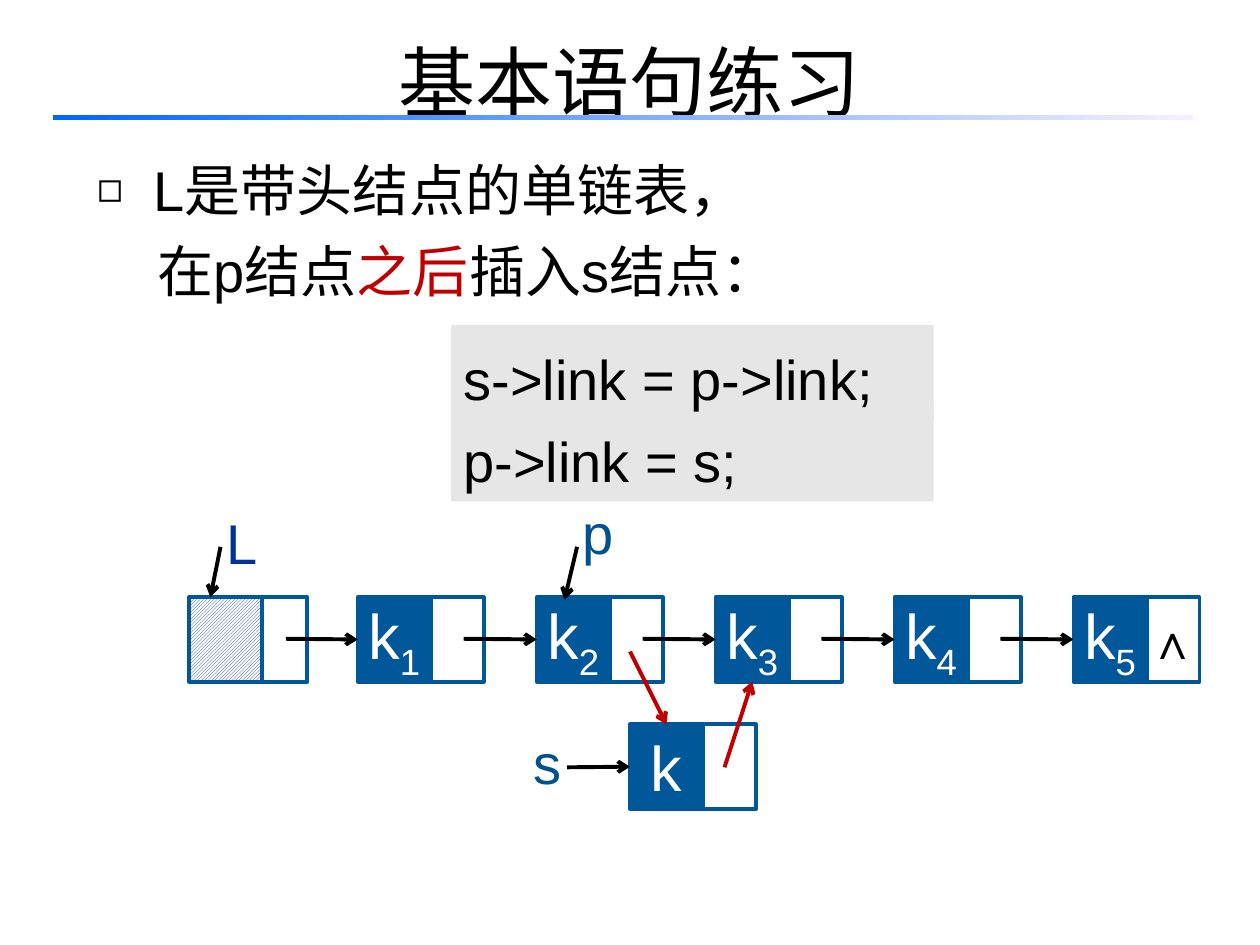
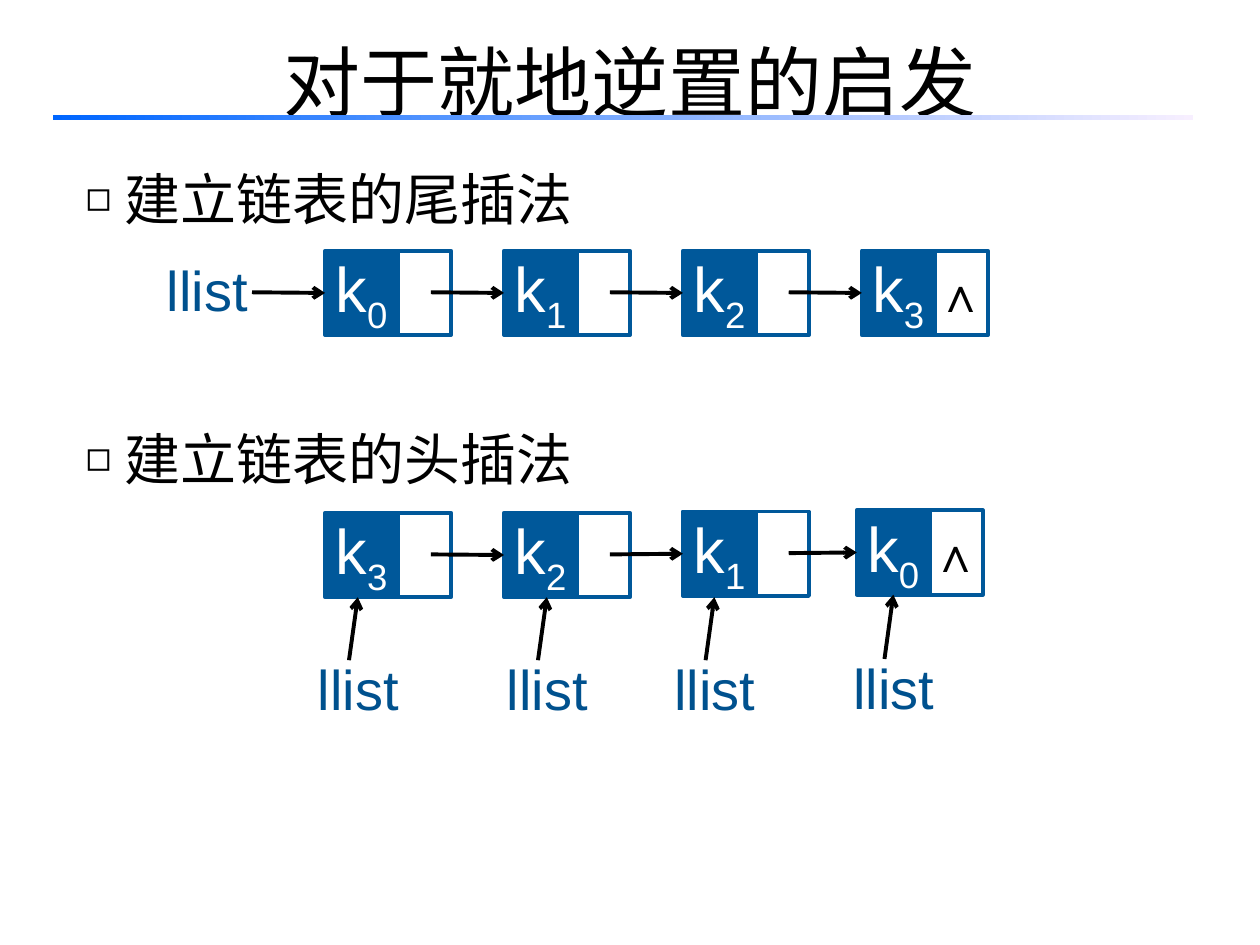
from lxml.etree import SubElement
from pptx import Presentation
from pptx.dml.color import RGBColor
from pptx.enum.dml import MSO_PATTERN
from pptx.enum.shapes import MSO_CONNECTOR, MSO_SHAPE
from pptx.enum.text import MSO_ANCHOR, MSO_AUTO_SIZE, PP_ALIGN
from pptx.oxml.ns import qn
from pptx.util import Inches, Pt

# Shared colours, fonts and sizes
BLUE, INK, RED, WHITE = "00589A", "000000", "C00000", "FFFFFF"
LABEL, NAVY, GREY = "00518E", "003399", "E6E6E6"
LATIN, HAN = "Arial", "Noto Sans CJK SC"
KEY_W, LINK_W, NODE_H, LINK_X = 0.58, 0.52, 0.67, 0.48
PITCH = 1.42
TOP, LEFT, BOTTOM = 0, 1, 2

CENTRE = dict(vertical_anchor=MSO_ANCHOR.MIDDLE, word_wrap=False)
LIST = dict(vertical_anchor=MSO_ANCHOR.TOP, word_wrap=True,
            auto_size=MSO_AUTO_SIZE.NONE)
CODE = dict(vertical_anchor=MSO_ANCHOR.TOP, word_wrap=True)
TITLE = dict(vertical_anchor=MSO_ANCHOR.MIDDLE, word_wrap=True,
             auto_size=MSO_AUTO_SIZE.NONE)


def color(value):
    return RGBColor.from_string(value)


def apply(target, values):
    for name, value in values.items():
        setattr(target, name, value)


def place(shape, box):
    names = ("left", "top", "width", "height")
    apply(shape, dict(zip(names, map(Inches, box))))


def write(para, text, size, tint=INK, face=LATIN, bold=False):
    run = para.add_run()
    run.text = text
    apply(run.font, dict(size=Pt(size), name=face, bold=bold))
    run.font.color.rgb = color(tint)
    SubElement(run.font._element, qn("a:ea"), typeface=HAN)
    return run


def rect(slide, box, fill=None, line=None):
    shape = slide.shapes.add_shape(MSO_SHAPE.RECTANGLE, *map(Inches, box))
    shape.shadow.inherit = False
    if fill:
        shape.fill.solid()
        shape.fill.fore_color.rgb = color(fill)
    else:
        shape.fill.background()
    if line:
        shape.line.color.rgb = color(line)
        shape.line.width = Pt(2.25)
    else:
        shape.line.fill.background()
    return shape


def arrow(slide, start, end, tint=INK, goal=None, side=LEFT):
    """Draw an arrow, joined to a side of the goal if one is given."""
    line = slide.shapes.add_connector(
        MSO_CONNECTOR.STRAIGHT, *map(Inches, start + end))
    if goal is not None:
        line.end_connect(goal, side)
    line.line.color.rgb = color(tint)
    line.line.width = Pt(2.25)
    props = line._element.spPr
    SubElement(props.find(qn("a:ln")), qn("a:tailEnd"), type="arrow")
    SubElement(props, qn("a:effectLst"))


def label(slide, x, y, text, tint=LABEL):
    box = slide.shapes.add_textbox(*map(Inches, (x, y, 0.85, NODE_H)))
    apply(box.text_frame, CENTRE)
    para = box.text_frame.paragraphs[0]
    apply(para, dict(alignment=PP_ALIGN.CENTER, line_spacing=0.9))
    write(para, text, 32, tint)


def node(slide, x, y, index="", last=False):
    """Draw a list node and return its key cell."""
    link = rect(slide, (x + LINK_X, y, LINK_W, NODE_H), line=BLUE)
    if last:
        apply(link.text_frame, CENTRE | dict(
            margin_left=Inches(0.16), margin_right=Inches(0.06)))
        para = link.text_frame.paragraphs[0]
        para.alignment = PP_ALIGN.CENTER
        write(para, "∧", 28, bold=True)
    key = rect(slide, (x, y, KEY_W, NODE_H), BLUE, BLUE)
    apply(key.text_frame, CENTRE)
    para = key.text_frame.paragraphs[0]
    para.alignment = PP_ALIGN.CENTER
    write(para, "k", 36, WHITE)
    if index:
        sub = write(para, index, 36, WHITE)
        sub.font._element.set("baseline", "-25000")
    return key


def chain(slide, spots, marks):
    """Draw linked nodes at the spots; return their key cells."""
    end = len(spots) - 1
    keys = [node(slide, x, y, mark, i == end)
            for i, ((x, y), mark) in enumerate(zip(spots, marks))]
    for (x, y), (after, _), key in zip(spots, spots[1:], keys[1:]):
        arrow(slide, (x + 0.84, y + 0.33), (after, y + 0.33), goal=key)
    return keys


def head(slide, x, y):
    """Draw the hatched head node."""
    rect(slide, (x + 0.42, y, LINK_W, NODE_H), line=BLUE)
    cell = rect(slide, (x, y, KEY_W, NODE_H), line=BLUE)
    cell.fill.patterned()
    cell.fill.pattern = MSO_PATTERN.LIGHT_UPWARD_DIAGONAL
    cell.fill.fore_color.rgb = color(NAVY)
    cell.fill.back_color.rgb = color(WHITE)


def points(shape, box, lines):
    """Fill a body placeholder; a line is (indent, bullet, runs)."""
    place(shape, box)
    frame = shape.text_frame
    apply(frame, LIST)
    for i, (indent, bullet, runs) in enumerate(lines):
        para = frame.add_paragraph() if i else frame.paragraphs[0]
        props = para._p.get_or_add_pPr()
        props.set("marL", str(Inches(indent)))
        props.set("indent", str(-Inches(indent) if bullet else 0))
        if bullet:
            SubElement(props, qn("a:buSzPct"), val="75000")
            SubElement(props, qn("a:buChar"), char="◻")
        else:
            SubElement(props, qn("a:buNone"))
        apply(para, dict(line_spacing=1.2, space_before=Pt(0)))
        for text, tint in runs:
            write(para, text, 32, tint)


def code(slide, x, y, lines):
    """Stack grey code strips from the bottom up, so each text stays clear."""
    for i, text in reversed(list(enumerate(lines))):
        strip = rect(slide, (x, y + 0.65 * i, 3.83, 0.75), GREY)
        apply(strip.text_frame, CODE)
        para = strip.text_frame.paragraphs[0]
        apply(para, dict(alignment=PP_ALIGN.LEFT, line_spacing=1.2))
        write(para, text, 32)


def start(deck, layout, text):
    """Add a slide with its title and the fading band."""
    slide = deck.slides.add_slide(deck.slide_layouts[layout])
    title = slide.shapes.title
    place(title, (0.5, -0.08, 9, 1.25))
    apply(title.text_frame, TITLE)
    para = title.text_frame.paragraphs[0]
    apply(para, dict(alignment=PP_ALIGN.CENTER, line_spacing=1.25))
    write(para, text, 44, face=HAN)
    band = rect(slide, (0.42, 0.91, 9.05, 0.04))
    band.fill.gradient()
    band.fill.gradient_angle = 0
    for stop, tint, spot in zip(band.fill.gradient_stops,
                                ("0066FF", "F7EFFF"), (0, 1)):
        stop.color.rgb = color(tint)
        stop.position = spot
    return slide


def insert(deck):
    """Slide 1: insert node s after node p."""
    slide = start(deck, 1, "基本语句练习")
    points(slide.placeholders[1], (0.67, 1.08, 9.17, 1.39), [
        (0.45, True, [("L是带头结点的单链表，", INK)]),
        (0.48, False, [("在p结点", INK), ("之后", RED),
                       ("插入s结点：", INK)]),
    ])
    code(slide, 3.58, 2.58, ["s->link = p->link;", "p->link = s;"])

    # Main list with its head
    row = 4.74
    head(slide, 1.5, row)
    keys = chain(slide, [(2.84 + PITCH * i, row) for i in range(5)], "12345")
    arrow(slide, (2.27, 5.07), (2.84, 5.07), goal=keys[0])
    label(slide, 1.5, 4, "L", NAVY)
    arrow(slide, (1.75, 4.34), (1.67, row))
    label(slide, 4.32, 3.92, "p")
    arrow(slide, (4.58, 4.34), (4.48, 4.76))

    # New node and its two links
    fresh = node(slide, 5, 5.75)
    label(slide, 3.92, 5.75, "s")
    arrow(slide, (4.5, 6.09), (5, 6.09), goal=fresh)
    arrow(slide, (5.75, 6.09), (5.97, 5.41), RED, keys[2], BOTTOM)
    arrow(slide, (5, 5.17), (5.29, 5.75), RED, fresh, TOP)


def reverse(deck):
    """Slide 2: build a list at its tail and at its head."""
    slide = start(deck, 3, "对于就地逆置的启发")
    parts = [("建立链表的尾插法", 1.15, 7.75), ("建立链表的头插法", 3.21, 4.75)]
    for i, (text, y, width) in enumerate(parts, 1):
        points(slide.placeholders[i], (0.58, y, width, 0.75),
               [(0.31, True, [(text, INK)])])

    # Tail insertion
    keys = chain(slide, [(2.58 + PITCH * i, 1.99) for i in range(4)], "0123")
    label(slide, 1.22, 1.99, "llist")
    arrow(slide, (2, 2.32), (2.58, 2.32), goal=keys[0])

    # Head insertion, with a pointer below each node
    spots = [(2.58, 4.07), (4, 4.07), (5.42, 4.06), (6.8, 4.05)]
    keys = chain(slide, spots, "3210")
    for x, y in [(2.42, 5.16), (3.92, 5.16), (5.25, 5.16)]:
        label(slide, x, y, "llist")
        arrow(slide, (x + 0.35, y + 0.08), (x + 0.42, y - 0.42))
    label(slide, 6.67, 5.15, "llist")
    arrow(slide, (7.02, 5.23), (7.09, 4.72), goal=keys[3], side=BOTTOM)


def main():
    deck = Presentation()
    deck.slide_width, deck.slide_height = Inches(10), Inches(7.5)
    insert(deck)
    reverse(deck)
    deck.save("out.pptx")


if __name__ == "__main__":
    main()
